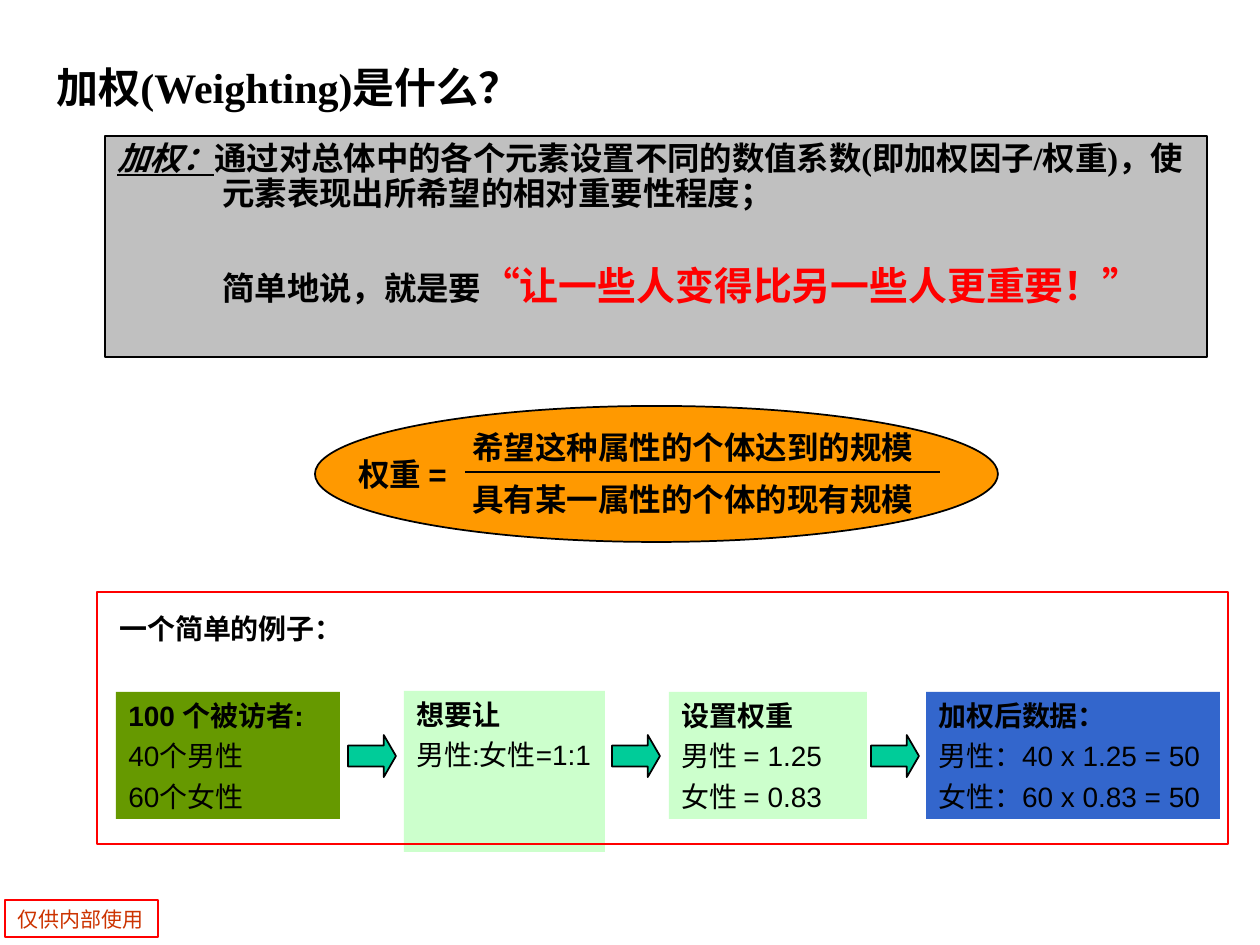
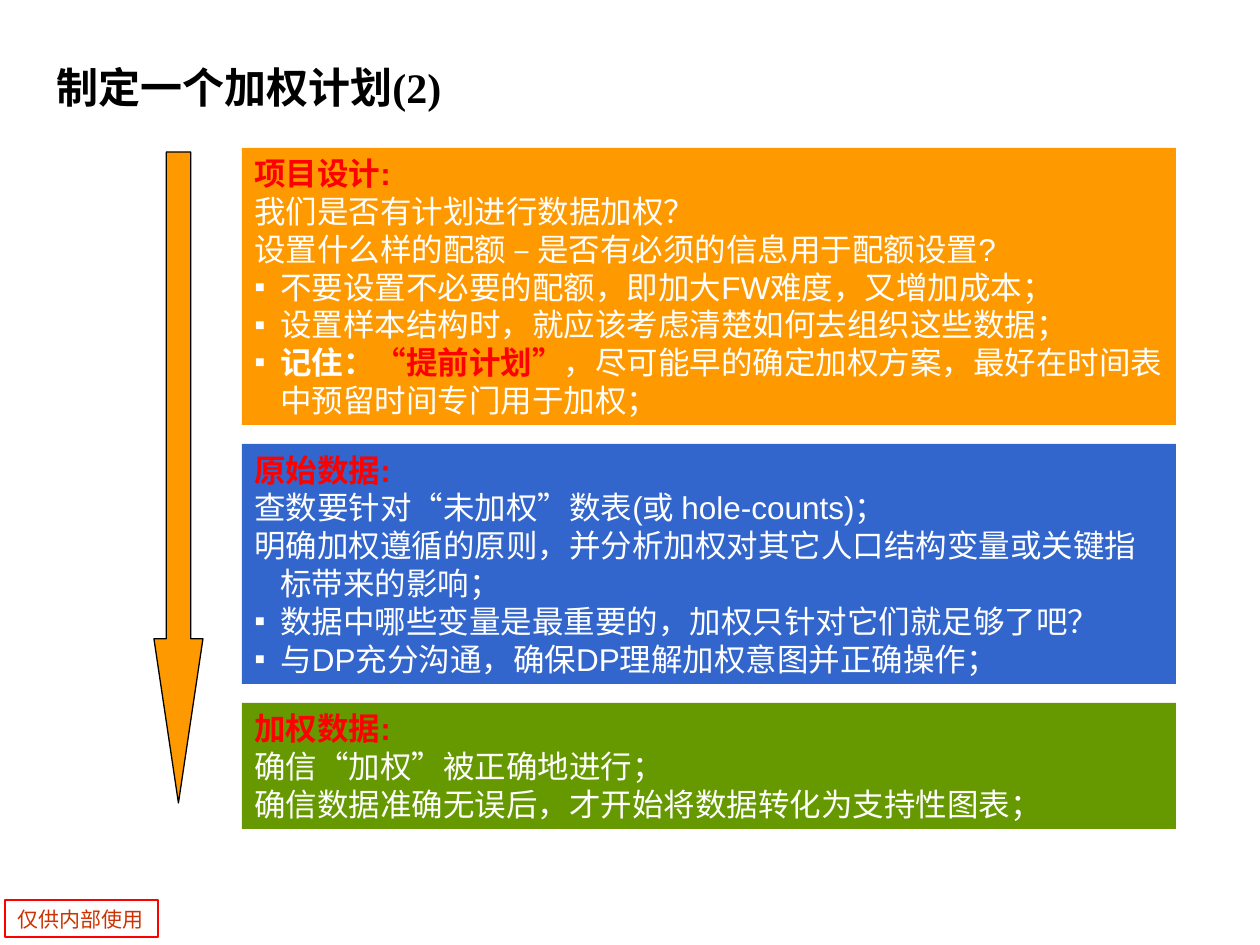
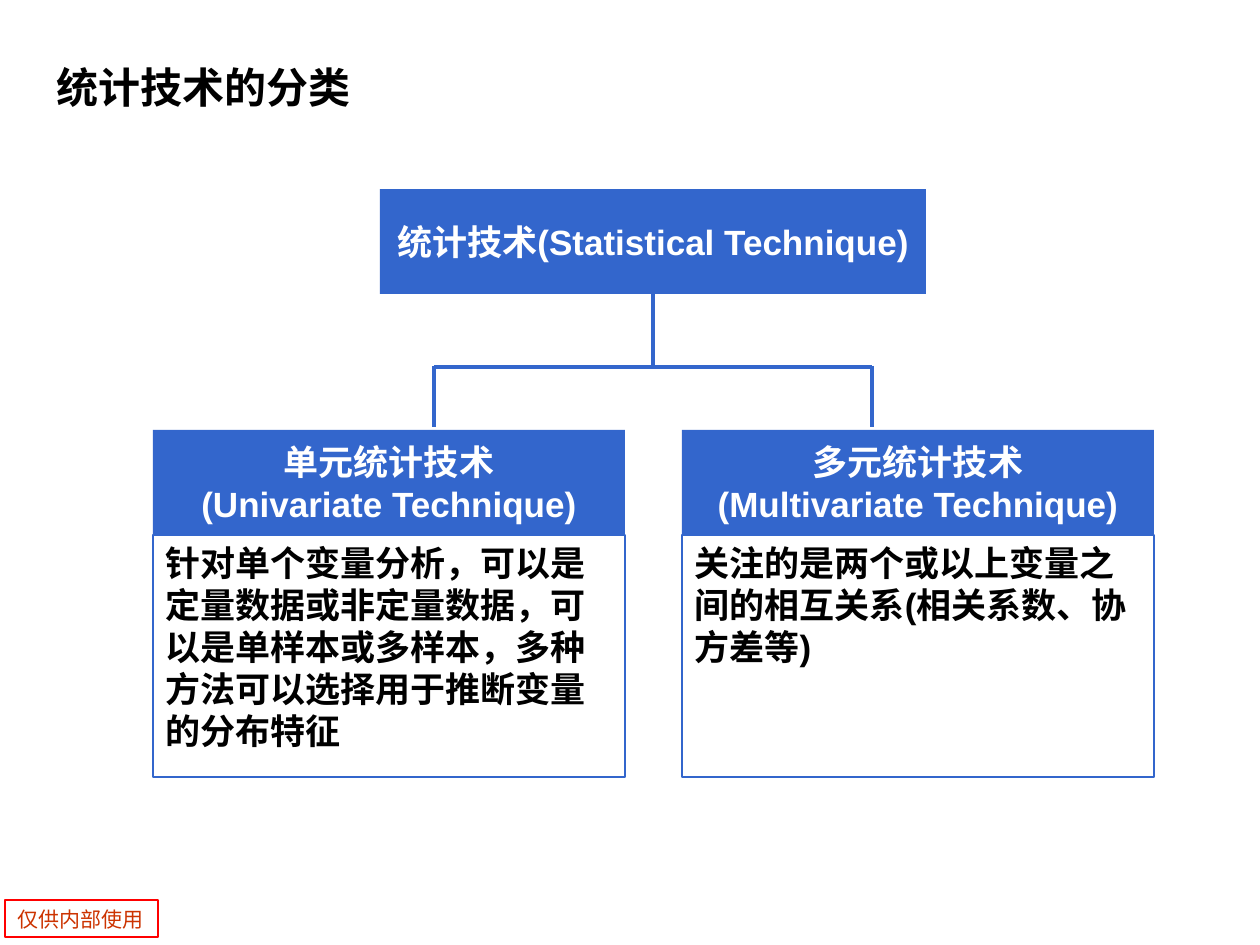
from lxml import etree
from pptx import Presentation
from pptx import util as u
from pptx.dml.color import RGBColor
from pptx.enum import lang, shapes, text
from pptx.oxml import ns

PX = u.Inches(10) / 1260
KIND = shapes.MSO_SHAPE
MID = text.MSO_ANCHOR.MIDDLE
TOP = text.MSO_ANCHOR.TOP
MIDDLE = text.PP_ALIGN.CENTER
SANS, SERIF, HAN = "Arial", "Times New Roman", "Noto Sans CJK SC"
HUES = {
    "black": "000000",
    "white": "FFFFFF",
    "red": "FF0000",
    "rust": "CC3300",
    "gray": "C0C0C0",
    "orange": "FF9900",
    "blue": "3366CC",
    "green": "669900",
    "mint": "CCFFCC",
    "teal": "00CC99",
}


def px(num):
    return u.Emu(round(num * PX))


def hue(name):
    return RGBColor.from_string(HUES[name])


def node(parent, tag, **attrs):
    return etree.SubElement(parent, ns.qn(tag), **attrs)


def style(run, size, color, bold=False, font=SANS, slant=False):
    face = run.font
    face.size, face.bold, face.name = u.Pt(size), bold, font
    face.color.rgb = hue(color)
    face.language_id = lang.MSO_LANGUAGE_ID.SIMPLIFIED_CHINESE
    if slant:
        face.italic = face.underline = True
    node(run.font._element, "a:ea", typeface=HAN)


def indent(para, left, first):
    props = para._p.get_or_add_pPr()
    props.set("marL", str(px(left)))
    props.set("indent", str(px(first)))


def bullet(para, color):
    props = para._p.get_or_add_pPr()
    node(node(props, "a:buClr"), "a:srgbClr", val=HUES[color])
    node(props, "a:buFont", typeface=SANS)
    node(props, "a:buChar", char="▪")


def write(shape, lines, size, color, bold=False, font=SANS, anchor=TOP,
          align=text.PP_ALIGN.LEFT, gap=0):
    frame = shape.text_frame
    frame.word_wrap = True
    frame.vertical_anchor = anchor
    frame.text = "\n".join(lines)
    for para in frame.paragraphs:
        para.alignment = align
        para.space_before = u.Pt(gap)
        for run in para.runs:
            style(run, size, color, bold, font)
    return frame.paragraphs


def add_runs(para, parts):
    for words, look in parts:
        run = para.add_run()
        run.text = words
        style(run, **look)


def label(slide, box, words, size, **look):
    area = slide.shapes.add_textbox(*map(px, box))
    write(area, [words], size, "black", True, **look)


def block(slide, box, fill=None, line=None, width=1, kind=KIND.RECTANGLE, adjust=()):
    shape = slide.shapes.add_shape(kind, *map(px, box))
    shape.shadow.inherit = False
    for i, val in enumerate(adjust):
        shape.adjustments[i] = val
    if fill:
        shape.fill.solid()
        shape.fill.fore_color.rgb = hue(fill)
    else:
        shape.fill.background()
    if line:
        shape.line.color.rgb = hue(line)
        shape.line.width = u.Pt(width)
    else:
        shape.line.fill.background()
    return shape


def rule(slide, ends, color, width):
    line = slide.shapes.add_connector(shapes.MSO_CONNECTOR.STRAIGHT, *map(px, ends))
    line.line.color.rgb = hue(color)
    line.line.width = u.Pt(width)
    node(line._element.spPr, "a:effectLst")
    return line


def page(deck, title):
    slide = deck.slides.add_slide(deck.slide_layouts[6])
    stamp = block(slide, (5, 900, 153, 37), line="red")
    write(stamp, ["仅供内部使用"], 12, "rust", font=HAN)
    label(slide, (44, 29, 1191, 116), title, 24, font=SERIF, anchor=MID)
    return slide


def ratio(slide):
    block(slide, (315, 406, 683, 136), "orange", "black", kind=KIND.OVAL)
    rule(slide, (465, 472, 940, 472), "black", 1)
    label(slide, (460, 422, 611, 50), "希望这种属性的个体达到的规模", 18)
    label(slide, (460, 474, 570, 50), "具有某一属性的个体的现有规模", 18)
    label(slide, (346, 449, 252, 50), "权重 =", 18)


def define(slide):
    panel = block(slide, (105, 136, 1102, 221), "gray", "black", 0.75)
    body = dict(size=18.5, color="black", bold=True, font=SERIF)
    first = write(panel, [""], 18.5, "black")[0]
    last = panel.text_frame.add_paragraph()
    add_runs(first, [
        ("加权：", dict(body, slant=True)),
        ("通过对总体中的各个元素设置不同的数值系数(即加权因子/权重)，使元素表现出所希望的相对重要性程度；", body),
    ])
    add_runs(last, [
        ("简单地说，就是要", body),
        ("“让一些人变得比另一些人更重要！”", dict(body, size=22.2, color="red")),
    ])
    for para, hang, gap in ((first, -105, 5), (last, 0, 31)):
        para.alignment = text.PP_ALIGN.LEFT
        para.line_spacing = 0.9
        para.space_before = u.Pt(gap)
        indent(para, 105, hang)


def sample(slide):
    steps = [
        ((116, 692, 224, 127), "green", ["100 个被访者:", "40个男性", "60个女性"]),
        ((404, 691, 201, 161), "mint", ["想要让", "男性:女性=1:1"]),
        ((669, 692, 198, 127), "mint", ["设置权重", "男性 = 1.25", "女性 = 0.83"]),
        ((926, 692, 294, 127), "blue",
         ["加权后数据：", "男性：40 x 1.25 = 50", "女性：60 x 0.83 = 50"]),
    ]
    for box, fill, lines in steps:
        paras = write(block(slide, box, fill), lines, 16, "black", gap=4)
        paras[0].runs[0].font.bold = True
    for left in (348, 612, 871):
        block(slide, (left, 735, 48, 42), "teal", "black",
              kind=KIND.RIGHT_ARROW, adjust=(0.5, 0.29))
    block(slide, (97, 592, 1131, 252), line="red", width=0.75)
    label(slide, (107, 605, 310, 47), "一个简单的例子：", 16)


def plan(slide):
    block(slide, (154, 152, 49, 651), "orange", "black", 0.75,
          KIND.DOWN_ARROW, (0.5, 3.35))
    panels = [
        (277, "orange", 26, ["项目设计:", "我们是否有计划进行数据加权？",
                             "设置什么样的配额 – 是否有必须的信息用于配额设置?"],
         ["不要设置不必要的配额，即加大FW难度，又增加成本；",
          "设置样本结构时，就应该考虑清楚如何去组织这些数据；", ""]),
        (240, "blue", 26, ["原始数据:", "查数要针对“未加权”数表(或 hole-counts)；",
                           "明确加权遵循的原则，并分析加权对其它人口结构变量或关键指标带来的影响；"],
         ["数据中哪些变量是最重要的，加权只针对它们就足够了吧？",
          "与DP充分沟通，确保DP理解加权意图并正确操作；"]),
        (126, "green", 0, ["加权数据:", "确信“加权”被正确地进行；",
                           "确信数据准确无误后，才开始将数据转化为支持性图表；"], []),
    ]
    top, tips = 148, []
    for high, fill, hang, lines, points in panels:
        panel = block(slide, (242, top, 934, high), fill)
        paras = write(panel, lines + points, 18, "white", anchor=MID)
        style(paras[0].runs[0], 18, "red", True)
        for para in paras:
            indent(para, hang, -hang)
        for para in paras[len(lines):]:
            bullet(para, "white")
            tips.append(para)
        top += high + 19
    add_runs(tips[2], [
        ("记住：", dict(size=18, color="white", bold=True)),
        ("“提前计划”", dict(size=18, color="red", bold=True)),
        ("，尽可能早的确定加权方案，最好在时间表中预留时间专门用于加权；",
         dict(size=18, color="white")),
    ])


def tree(slide):
    root = block(slide, (380, 189, 546, 105), "blue")
    write(root, ["统计技术(Statistical Technique)"], 20, "white", True,
          anchor=MID, align=MIDDLE)
    stem = rule(slide, (653, 294, 653, 367), "blue", 2)
    stem.begin_connect(root, 2)
    rule(slide, (434, 367, 872, 367), "blue", 2)
    cards = [
        (153, 434, ["单元统计技术", "(Univariate Technique)"],
         "针对单个变量分析，可以是定量数据或非定量数据，可以是单样本或多样本，多种方法可以选择用于推断变量的分布特征"),
        (682, 872, ["多元统计技术", "(Multivariate Technique)"],
         "关注的是两个或以上变量之间的相互关系(相关系数、协方差等)"),
    ]
    for left, arm, head, body in cards:
        rule(slide, (arm, 366, arm, 427), "blue", 2)
        write(block(slide, (left, 430, 472, 105), "blue"), head, 20, "white", True,
              anchor=MID, align=MIDDLE)
        write(block(slide, (left, 535, 472, 242), line="blue", width=0.75),
              [body], 20, "black", True)


def main():
    deck = Presentation()
    deck.slide_width, deck.slide_height = px(1260), px(945)
    what = page(deck, "加权(Weighting)是什么？")
    ratio(what)
    define(what)
    sample(what)
    plan(page(deck, "制定一个加权计划(2)"))
    tree(page(deck, "统计技术的分类"))
    deck.save("out.pptx")


if __name__ == "__main__":
    main()
